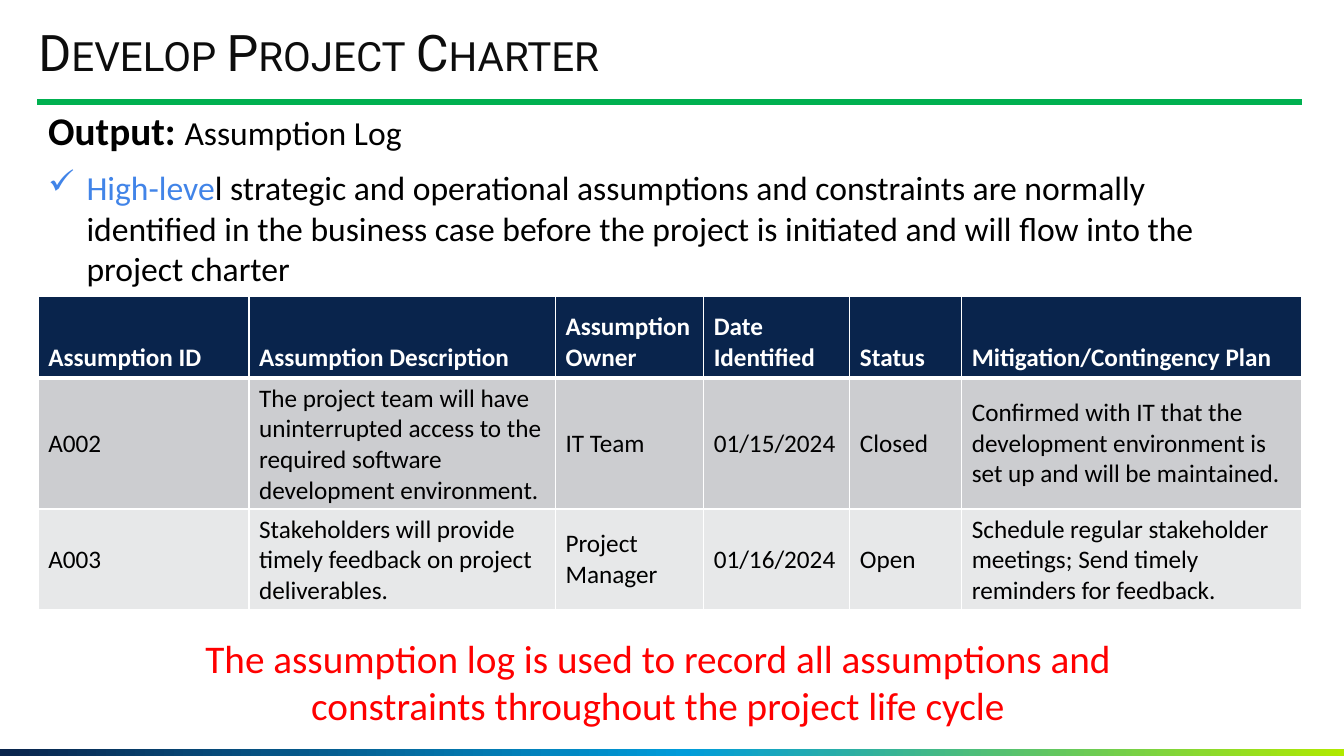
from copy import deepcopy

from lxml import etree
from pptx import Presentation
from pptx import util as u
from pptx.dml.color import RGBColor
from pptx.enum import shapes, text
from pptx.oxml import ns

NAVY, GREEN, RED, BLUE = "09244C", "00B050", "FF0000", "4184E8"
BLACK, WHITE = "000000", "FFFFFF"
COLS = [2.09, 3.04, 1.47, 1.45, 1.11, 3.37]
ROWS = [0.81, 1.3, 1]
FILLS = [NAVY, "CCCDD0", "E7E8E9"]
LOG = [
    ["Assumption ID", "Assumption Description", "Assumption Owner",
     "Date Identified", "Status", "Mitigation/Contingency Plan"],
    ["A002", "The project team will have uninterrupted access to the required "
     "software development environment.", "IT Team", "01/15/2024", "Closed",
     "Confirmed with IT that the development environment is set up and will "
     "be maintained."],
    ["A003", "Stakeholders will provide timely feedback on project "
     "deliverables.", "Project Manager", "01/16/2024", "Open",
     "Schedule regular stakeholder meetings; Send timely reminders for "
     "feedback."],
]


def rgb(code):
    """Turn a hex string into a colour."""
    return RGBColor.from_string(code)


def sub(parent, tag, **attrs):
    """Append a drawing element with attributes."""
    return etree.SubElement(parent, ns.qn("a:" + tag), **attrs)


def add_run(para, words, size, color=BLACK, bold=False, face="Calibri"):
    """Add one styled run to a paragraph."""
    run = para.add_run()
    run.text = words
    font = run.font
    font.name, font.size, font.bold = face, u.Pt(size), bold
    font.color.rgb = rgb(color)
    return run


def add_box(slide, left, top, width, height):
    """Add a wrapping text box and return its frame."""
    box = slide.shapes.add_textbox(*map(u.Inches, (left, top, width, height)))
    box.text_frame.word_wrap = True
    return box.text_frame


def add_title(slide, words):
    """Add the small-caps heading."""
    frame = add_box(slide, 0.38, 0.27, 11.19, 0.55)
    frame.margin_left = frame.margin_right = 0
    frame.margin_top = frame.margin_bottom = 0
    frame.vertical_anchor = text.MSO_ANCHOR.MIDDLE
    para = frame.paragraphs[0]
    para.line_spacing = 0.9
    run = add_run(para, words, 36, "0D0D0D", face="Roboto")
    run.font._element.set("cap", "small")


def add_rule(slide):
    """Draw the green line below the heading."""
    line = slide.shapes.add_connector(
        shapes.MSO_CONNECTOR.STRAIGHT,
        *map(u.Inches, (0.37, 1.01, 12.91, 1.01)))
    line.line.color.rgb = rgb(GREEN)
    line.line.width = u.Pt(4.5)
    sub(line._element.spPr, "effectLst")


def add_band(slide):
    """Draw the gradient strip along the bottom edge."""
    band = slide.shapes.add_shape(
        shapes.MSO_SHAPE.RECTANGLE, *map(u.Inches, (0, 7.43, 13.33, 0.07)))
    band.shadow.inherit = False
    band.line.fill.background()
    band.fill.gradient()
    band.fill.gradient_angle = 0
    first = band._element.spPr.find(".//" + ns.qn("a:gs"))
    first.addnext(deepcopy(first))
    colors = [NAVY, "009CDA", "B0E900"]
    for stop, place, color in zip(band.fill.gradient_stops, (0, 0.51, 1), colors):
        stop.position = place
        stop.color.rgb = rgb(color)


def add_point(slide, lead, rest):
    """Add the ticked point with a coloured lead."""
    para = add_box(slide, 0.38, 1.61, 12.38, 1.31).paragraphs[0]
    props = para._p.get_or_add_pPr()
    props.set("marL", str(u.Inches(0.38)))
    props.set("indent", str(-u.Inches(0.38)))
    sub(props, "buChar", char="✓")
    add_run(para, lead, 24, BLUE)
    add_run(para, rest, 24)


def edge(cell, head):
    """Give a cell white borders, thicker below the head."""
    props = cell._tc.get_or_add_tcPr()
    for spot, side in enumerate("LRTB"):
        width = u.Pt(3 if head and side == "B" else 1)
        line = etree.Element(ns.qn("a:ln" + side), w=str(width))
        sub(sub(line, "solidFill"), "srgbClr", val=WHITE)
        props.insert(spot, line)


def add_log(slide):
    """Add the assumption log table."""
    table = slide.shapes.add_table(
        len(ROWS), len(COLS),
        *map(u.Inches, (0.38, 2.94, sum(COLS), sum(ROWS)))).table
    for col, width in zip(table.columns, COLS):
        col.width = u.Inches(width)
    for r, (row, height) in enumerate(zip(table.rows, ROWS)):
        row.height = u.Inches(height)
        head = r == 0
        for cell, words in zip(row.cells, LOG[r]):
            cell.fill.solid()
            cell.fill.fore_color.rgb = rgb(FILLS[r])
            anchor = text.MSO_ANCHOR
            cell.vertical_anchor = anchor.BOTTOM if head else anchor.MIDDLE
            edge(cell, head)
            add_run(cell.text_frame.paragraphs[0], words, 18,
                    WHITE if head else BLACK, head)


def main():
    """Build the slide and save it."""
    deck = Presentation()
    deck.slide_width, deck.slide_height = u.Inches(13.33), u.Inches(7.5)
    slide = deck.slides.add_slide(deck.slide_layouts[6])
    add_band(slide)
    add_rule(slide)
    add_title(slide, "Develop Project Charter")
    para = add_box(slide, 0.38, 1.06, 12.53, 0.55).paragraphs[0]
    para.line_spacing = 0.9
    add_run(para, "Output: ", 28, bold=True)
    add_run(para, "Assumption Log", 24)
    add_point(slide, "High-leve",
              "l strategic and operational assumptions and constraints are "
              "normally identified in the business case before the project is "
              "initiated and will flow into the project charter")
    add_log(slide)
    para = add_box(slide, 1.14, 6.24, 10.77, 1.04).paragraphs[0]
    para.alignment = text.PP_ALIGN.CENTER
    add_run(para, "The assumption log is used to record all assumptions and "
            "constraints throughout the project life cycle", 28, RED)
    deck.save("out.pptx")


if __name__ == "__main__":
    main()
